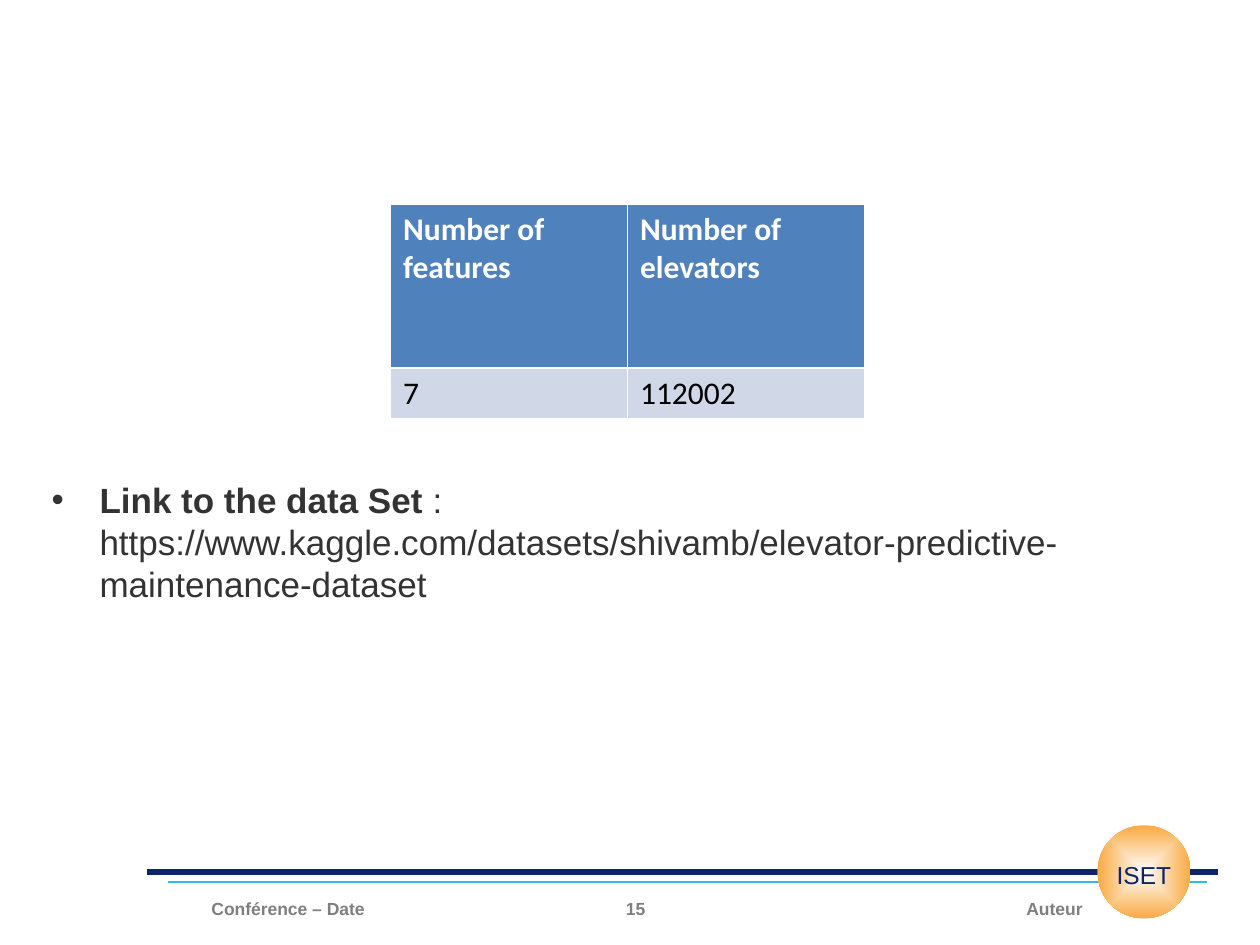
from lxml.etree import SubElement
from pptx import Presentation
from pptx.dml.color import RGBColor
from pptx.enum.shapes import MSO_CONNECTOR as Connector, MSO_SHAPE as Shape
from pptx.enum.text import MSO_ANCHOR as Anchor, MSO_AUTO_SIZE as AutoSize, PP_ALIGN as Align
from pptx.oxml import parse_xml
from pptx.oxml.ns import nsdecls, qn
from pptx.util import Inches, Pt

THEME = {
    "font": "Arial", "table_font": "Calibri",
    "footer_size": 10, "badge_size": 14, "body_size": 20, "table_size": 18,
    "grey": "7F7F7F", "navy": "0C2468", "cyan": "33BAE6", "orange": "F9AA42",
    "body": "333333", "head_fill": "4F81BD", "row_fill": "D0D8E8",
    "white": "FFFFFF", "black": "000000",
    "thin": 0.45, "thick": 1.47,
}
FOOTERS = [
    ("15", 4.42, 1.25, Align.CENTER),
    ("Conférence – Date", 1.58, 2.58, Align.LEFT),
    ("Auteur", 6.11, 2.58, Align.RIGHT),
]
RULES = [(1.17, 9.67, 6.92, "navy", 3), (1.33, 9.58, 7, "cyan", 1.5)]
BADGE = "ISET"
BODY = [
    ("Link to the data Set ", True),
    (": https://www.kaggle.com/datasets/shivamb/elevator-predictive-maintenance-dataset", False),
]
TABLE = [["Number of features", "Number of elevators"], ["7", "112002"]]
ROW_HEIGHTS = [1.3, 0.4]
COLUMN_WIDTH = 1.88


def color(name):
    return RGBColor.from_string(THEME[name])


def add_run(para, text, size, tint, bold=False, font="font"):
    span = para.add_run()
    span.text = text
    span.font.name = THEME[font]
    span.font.size = Pt(THEME[size])
    span.font.bold = bold
    span.font.color.rgb = color(tint)


def add_footer(page, text, left, width, align):
    box = page.shapes.add_textbox(Inches(left), Inches(7.08), Inches(width), Inches(0.27))
    box.text_frame.word_wrap = True
    para = box.text_frame.paragraphs[0]
    para.alignment = align
    add_run(para, text, "footer_size", "grey", True)


def add_rule(page, start, end, top, tint, weight):
    rule = page.shapes.add_connector(
        Connector.STRAIGHT, Inches(start), Inches(top), Inches(end), Inches(top))
    rule.line.color.rgb = color(tint)
    rule.line.width = Pt(weight)
    SubElement(rule.element.spPr, qn("a:effectLst"))


def add_badge(page):
    badge = page.shapes.add_shape(
        Shape.OVAL, Inches(8.71), Inches(6.55), Inches(0.74), Inches(0.74))
    badge.shadow.inherit = False
    badge.line.fill.background()
    badge.fill.gradient()
    for stop, tint, position in zip(badge.fill.gradient_stops, ("white", "orange"), (0, 1)):
        stop.color.rgb = color(tint)
        stop.position = position
    linear = badge.element.spPr.find(".//" + qn("a:lin"))
    linear.getparent().replace(linear, parse_xml(
        f'<a:path {nsdecls("a")} path="rect">'
        '<a:fillToRect l="50000" t="50000" r="50000" b="50000"/></a:path>'))
    frame = badge.text_frame
    frame.word_wrap = False
    frame.vertical_anchor = Anchor.MIDDLE
    frame.margin_top, frame.margin_bottom = Inches(0.05), Inches(0)
    frame.paragraphs[0].alignment = Align.CENTER
    add_run(frame.paragraphs[0], BADGE, "badge_size", "navy")


def fill_body(page):
    body = page.placeholders[1]
    body.left, body.top = Inches(0.31), Inches(3.75)
    body.width, body.height = Inches(9.41), Inches(2.68)
    frame = body.text_frame
    frame.auto_size = AutoSize.NONE
    frame.vertical_anchor = Anchor.TOP
    para = frame.paragraphs[0]
    para.space_before = Pt(0)
    properties = para._p.get_or_add_pPr()
    properties.set("marL", str(Inches(0.38)))
    properties.set("indent", str(-Inches(0.38)))
    bullet_color = SubElement(properties, qn("a:buClr"))
    SubElement(bullet_color, qn("a:srgbClr"), val=THEME["body"])
    SubElement(properties, qn("a:buFont"), typeface=THEME["font"])
    SubElement(properties, qn("a:buChar"), char="•")
    for text, bold in BODY:
        add_run(para, text, "body_size", "body", bold)


def set_borders(cell, thick_side):
    properties = cell._tc.get_or_add_tcPr()
    for index, side in enumerate(("L", "R", "T", "B")):
        weight = THEME["thick" if side == thick_side else "thin"]
        properties.insert(index, parse_xml(
            f'<a:ln{side} {nsdecls("a")} w="{int(Pt(weight))}"><a:solidFill>'
            f'<a:srgbClr val="{THEME["white"]}"/></a:solidFill></a:ln{side}>'))


def add_data_table(page):
    table = page.shapes.add_table(
        len(TABLE), len(TABLE[0]), Inches(3.1), Inches(1.62),
        Inches(COLUMN_WIDTH * len(TABLE[0])), Inches(sum(ROW_HEIGHTS))).table
    for column in table.columns:
        column.width = Inches(COLUMN_WIDTH)
    for row_index, (texts, height) in enumerate(zip(TABLE, ROW_HEIGHTS)):
        heading = row_index == 0
        table.rows[row_index].height = Inches(height)
        for column_index, text in enumerate(texts):
            cell = table.cell(row_index, column_index)
            cell.fill.solid()
            cell.fill.fore_color.rgb = color("head_fill" if heading else "row_fill")
            set_borders(cell, "B" if heading else "T")
            add_run(cell.text_frame.paragraphs[0], text, "table_size",
                    "white" if heading else "black", heading, "table_font")


def main():
    deck = Presentation()
    deck.slide_width, deck.slide_height = Inches(10), Inches(7.5)
    page = deck.slides.add_slide(deck.slide_layouts[1])
    title = page.shapes.title.element
    title.getparent().remove(title)
    fill_body(page)
    for rule in RULES:
        add_rule(page, *rule)
    add_badge(page)
    for footer in FOOTERS:
        add_footer(page, *footer)
    add_data_table(page)
    deck.save("out.pptx")


if __name__ == "__main__":
    main()
